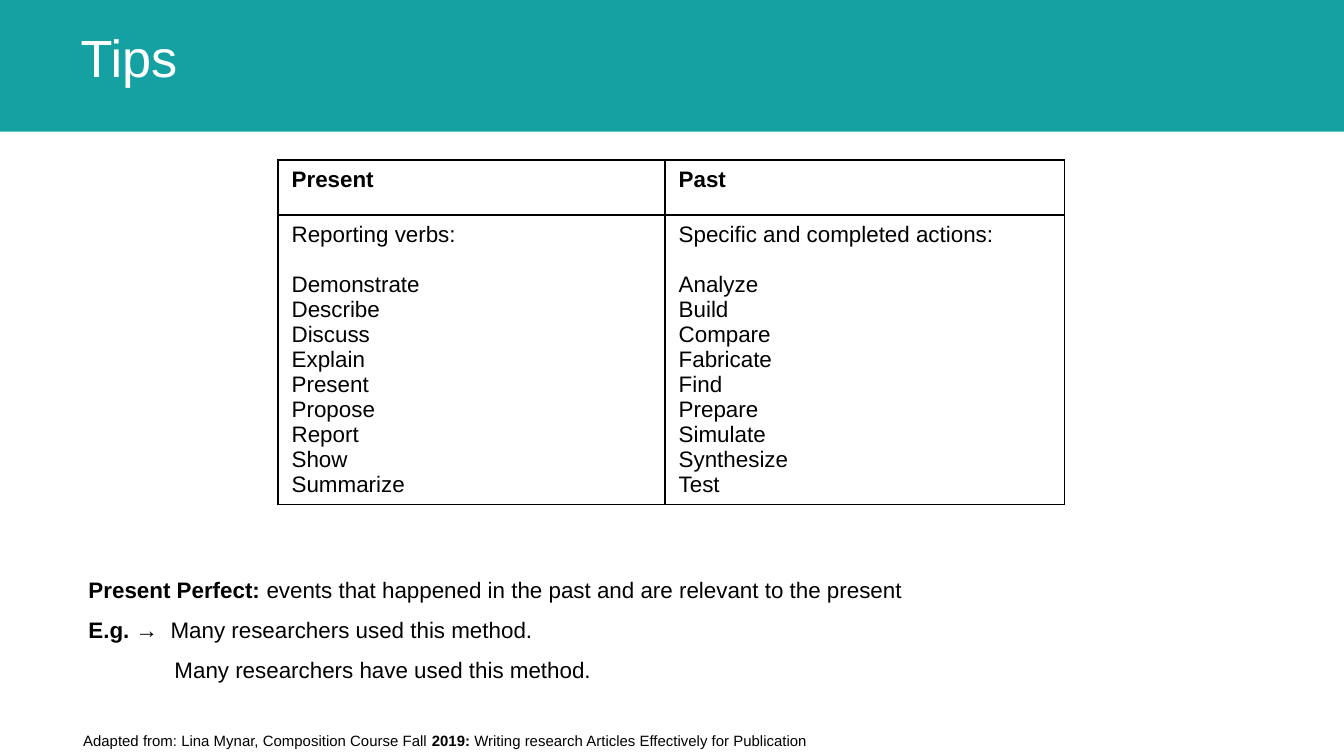
from lxml import etree
from pptx import Presentation
from pptx.dml.color import RGBColor
from pptx.enum import shapes, text
from pptx.oxml.ns import qn
from pptx.util import Inches, Pt

THEME = {
    "font": "Arial",
    "teal": RGBColor(0x15, 0xA1, 0xA2),
    "white": RGBColor(0xFF, 0xFF, 0xFF),
    "black": RGBColor(0, 0, 0),
    "title": 28,
    "body": 12,
    "source": 8,
    "border": 1,
}

TITLE = "Tips"
TENSES = [
    ("Present", "Reporting verbs:",
     ["Demonstrate", "Describe", "Discuss", "Explain", "Present",
      "Propose", "Report", "Show", "Summarize"]),
    ("Past", "Specific and completed actions:",
     ["Analyze", "Build", "Compare", "Fabricate", "Find",
      "Prepare", "Simulate", "Synthesize", "Test"]),
]
# Each paragraph is an indent and a list of (text, bold) runs.
PERFECT = [
    (0.02, [("Present Perfect: ", True),
            ("events that happened in the past and are relevant to the present", False)]),
    (0.02, [("E.g. →  ", True), ("Many researchers used this method.", False)]),
    (0.66, [("Many researchers have used this method.", False)]),
]
SOURCE = [
    (0.02, [("Adapted from: Lina Mynar, Composition Course Fall ", False),
            ("2019: ", True),
            ("Writing research Articles Effectively for Publication", False)]),
]
COLUMN_WIDTHS = [2.88, 2.97]
ROW_HEIGHTS = [0.41, 2.15]


def write(paragraph, runs, size=THEME["body"], color=THEME["black"],
          before=0, line=1.0, indent=0):
    """Fill a paragraph with (text, bold) runs in one common format."""
    properties = paragraph._p.get_or_add_pPr()
    properties.set("marL", str(Inches(indent)))
    properties.set("indent", "0")
    paragraph.alignment = text.PP_ALIGN.LEFT
    paragraph.line_spacing = line
    paragraph.space_before = Pt(before)
    for words, bold in runs:
        run = paragraph.add_run()
        run.text = words
        run.font.name = THEME["font"]
        run.font.size = Pt(size)
        run.font.bold = bold
        run.font.color.rgb = color


def paragraph_at(frame, index):
    return frame.add_paragraph() if index else frame.paragraphs[0]


def add_note(slide, paragraphs, left, top, width, height, size):
    frame = slide.shapes.add_textbox(*map(Inches, (left, top, width, height))).text_frame
    frame.word_wrap = True
    for index, (indent, runs) in enumerate(paragraphs):
        write(paragraph_at(frame, index), runs, size=size, line=1.2,
              before=4 if index else 0, indent=indent)


def style_cell(cell):
    """Outline the cell on all sides and give it a white fill."""
    properties = cell._tc.get_or_add_tcPr()
    for side in ("lnL", "lnR", "lnT", "lnB"):
        border = etree.SubElement(properties, qn(f"a:{side}"), w=str(Pt(THEME["border"])))
        fill = etree.SubElement(border, qn("a:solidFill"))
        etree.SubElement(fill, qn("a:srgbClr"), val=str(THEME["black"]))
    cell.fill.solid()
    cell.fill.fore_color.rgb = THEME["white"]


def add_header(slide, width):
    title = slide.shapes.title
    band = slide.shapes.add_shape(shapes.MSO_SHAPE.RECTANGLE, 0, 0, width, Inches(0.98))
    band.shadow.inherit = False
    band.fill.solid()
    band.fill.fore_color.rgb = THEME["teal"]
    band.line.fill.background()
    title.element.addprevious(band.element)

    title.left, title.top, title.width, title.height = map(Inches, (0.5, 0.14, 8.01, 0.55))
    frame = title.text_frame
    frame.auto_size = text.MSO_AUTO_SIZE.NONE
    frame.vertical_anchor = text.MSO_ANCHOR.TOP
    write(frame.paragraphs[0], [(TITLE, False)], size=THEME["title"], color=THEME["white"])


def add_tense_table(slide):
    table = slide.shapes.add_table(
        len(ROW_HEIGHTS), len(TENSES), Inches(2.07), Inches(1.19),
        Inches(sum(COLUMN_WIDTHS)), Inches(sum(ROW_HEIGHTS))).table
    table.first_row = table.horz_banding = False
    for row, height in zip(table.rows, ROW_HEIGHTS):
        row.height = Inches(height)
    for index, (tense, use, verbs) in enumerate(TENSES):
        table.columns[index].width = Inches(COLUMN_WIDTHS[index])
        heading, body = table.cell(0, index), table.cell(1, index)
        style_cell(heading)
        style_cell(body)
        write(heading.text_frame.paragraphs[0], [(tense, True)])
        for position, line in enumerate([use, *verbs]):
            write(paragraph_at(body.text_frame, position), [(line, False)],
                  before=13.4 if position == 1 else 0)


def main():
    presentation = Presentation()
    presentation.slide_width = Inches(10)
    presentation.slide_height = Inches(10 * 9 / 16)
    slide = presentation.slides.add_slide(presentation.slide_layouts[5])
    add_header(slide, presentation.slide_width)
    add_tense_table(slide)
    add_note(slide, PERFECT, 0.54, 4.2, 7.53, 0.92, THEME["body"])
    add_note(slide, SOURCE, 0.5, 5.37, 7.44, 0.25, THEME["source"])
    presentation.save("out.pptx")


if __name__ == "__main__":
    main()
